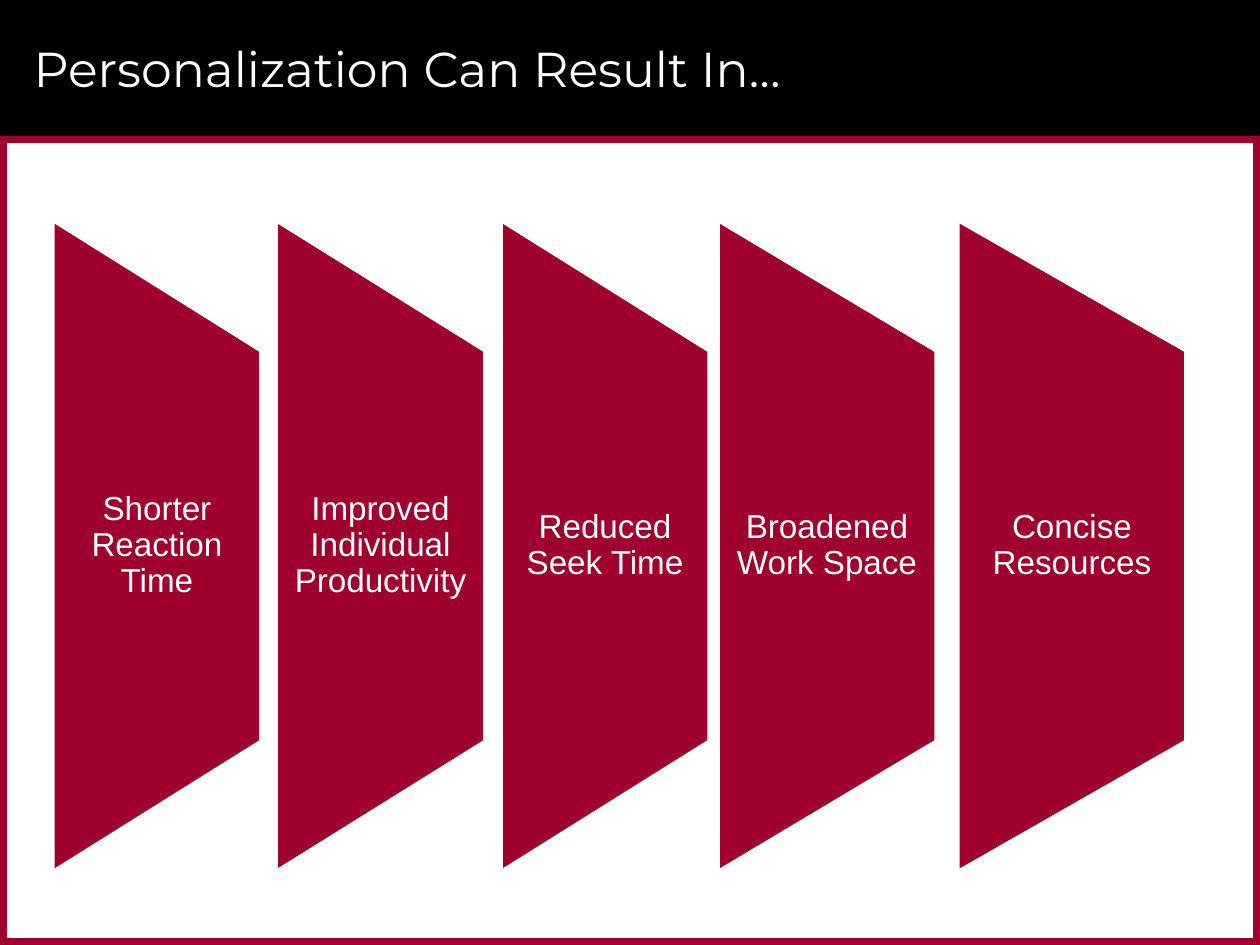
import pptx
import pptx.util
import pptx.dml.color
import pptx.enum.shapes
import pptx.enum.text

PX = 914400 / 126
BLACK = pptx.dml.color.RGBColor(0x00, 0x00, 0x00)
WHITE = pptx.dml.color.RGBColor(0xFF, 0xFF, 0xFF)
CRIMSON = pptx.dml.color.RGBColor(0x9F, 0x00, 0x2D)
MSO_SHAPE = pptx.enum.shapes.MSO_SHAPE
PP_ALIGN = pptx.enum.text.PP_ALIGN
MIDDLE = pptx.enum.text.MSO_ANCHOR.MIDDLE


def px(*values):
    return [pptx.util.Emu(round(v * PX)) for v in values]


def add_filled(kind, box, color):
    sp = s.shapes.add_shape(kind, *px(*box))
    sp.shadow.inherit = False
    sp.fill.solid()
    sp.fill.fore_color.rgb = color
    sp.line.fill.background()
    return sp


prs = pptx.Presentation()
prs.slide_width, prs.slide_height = px(1260, 945)
s = prs.slides.add_slide(prs.slide_layouts[5])

bars = [
    ((0, 0, 1260, 136), BLACK),
    ((0, 136, 1260, 7), CRIMSON),
    ((0, 938, 1260, 7), CRIMSON),
    ((1253, 136, 7, 809), CRIMSON),
    ((0, 136, 7, 809), CRIMSON),
]
for box, color in bars:
    add_filled(MSO_SHAPE.RECTANGLE, box, color)

title = s.shapes.title
title._element.getparent().append(title._element)
title.left, title.top, title.width, title.height = px(21, 10, 1187, 116)
tf = title.text_frame
tf.text = "Personalization Can Result In…"
tf.auto_size = pptx.enum.text.MSO_AUTO_SIZE.NONE
tf.vertical_anchor = MIDDLE
p = tf.paragraphs[0]
p.alignment = PP_ALIGN.LEFT
p.font.name = "Montserrat"
p.font.size = pptx.util.Pt(28)
p.font.color.rgb = WHITE

panels = [
    ("Shorter Reaction Time", 53, 208),
    ("Improved Individual Productivity", 276, 209),
    ("Reduced Seek Time", 501, 208),
    ("Broadened Work Space", 718, 218),
    ("Concise Resources", 958, 228),
]
panel_height = 651
text_height = 390
center_y = 546

for text, left, width in panels:
    center_x = left + width / 2
    box = (center_x - panel_height / 2, center_y - width / 2, panel_height, width)
    sp = add_filled(MSO_SHAPE.FLOWCHART_MANUAL_OPERATION, box, CRIMSON)
    sp.rotation = 270
    sp.line.color.rgb = WHITE
    sp.line.width = pptx.util.Pt(2)

    label = s.shapes.add_textbox(*px(left, center_y - text_height / 2, width, text_height))
    tf = label.text_frame
    tf.word_wrap = True
    tf.vertical_anchor = MIDDLE
    tf.margin_left, tf.margin_top, tf.margin_right, tf.margin_bottom = px(16, 0, 16, 0)
    p = tf.paragraphs[0]
    p.text = text
    p.alignment = PP_ALIGN.CENTER
    p.line_spacing = 0.9
    p.font.name = "Arial"
    p.font.size = pptx.util.Pt(19)
    p.font.color.rgb = WHITE

prs.save("out.pptx")
